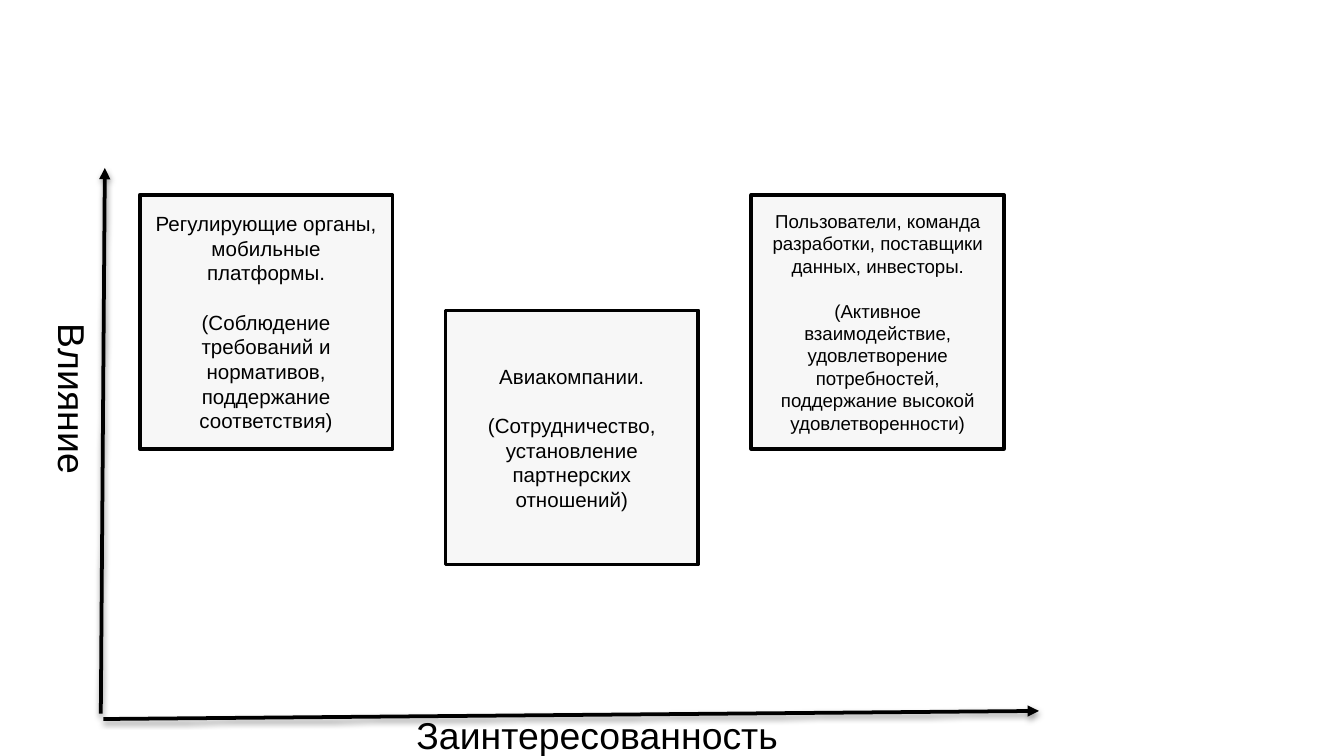
"""Build a stakeholder map of influence against interest."""
from dataclasses import dataclass

from lxml.etree import SubElement
from pptx import Presentation
from pptx.dml.color import RGBColor
from pptx.enum.shapes import MSO_CONNECTOR, MSO_SHAPE
from pptx.enum.text import MSO_ANCHOR, MSO_AUTO_SIZE, PP_ALIGN
from pptx.oxml.ns import qn
from pptx.util import Inches, Pt


@dataclass(frozen=True)
class Theme:
    """Colours, type sizes and line width of the slide."""
    ink: RGBColor = RGBColor(0, 0, 0)
    card: RGBColor = RGBColor(0xE9, 0xE9, 0xE9)
    alpha: int = 33000
    face: str = "Arial"
    label: int = 20
    body: int = 11
    small: int = 10
    rule: int = 2


THEME = Theme()
COLS, ROWS = 100, 56.25
WIDE, HIGH = Inches(10), Inches(5.625)
CARDS = [
    (0, 2, THEME.body, "Регулирующие органы, мобильные платформы.",
     "(Соблюдение требований и нормативов, поддержание соответствия)"),
    (1, 10.6, THEME.body, "Авиакомпании.",
     "(Сотрудничество, установление партнерских отношений)"),
    (2, 2, THEME.small,
     "Пользователи, команда разработки, поставщики данных, инвесторы.",
     "(Активное взаимодействие, удовлетворение потребностей, "
     "поддержание высокой удовлетворенности)"),
]


def apply(item, form):
    """Set each attribute named in a dict of format values."""
    for name, value in form.items():
        setattr(item, name, value)


def spot(box, col, row):
    """Turn a grid point within a box into slide lengths."""
    return (int((box[0] + col) * WIDE / COLS),
            int((box[1] + row) * HIGH / ROWS))


def node(parent, tag, **attrs):
    """Add a drawing element with its attributes."""
    return SubElement(parent, qn(f"a:{tag}"), attrs)


def write(frame, texts, size, align):
    """Fill a text frame, with one line of space between paragraphs."""
    for i, text in enumerate(texts):
        para = frame.paragraphs[0] if i == 0 else frame.add_paragraph()
        para.alignment = align
        if i:
            para.space_before = Pt(size * 1.2)
        run = para.add_run()
        run.text = text
        apply(run.font, {"name": THEME.face, "size": Pt(size)})
        run.font.color.rgb = THEME.ink


def stroke(line):
    """Give a line its colour and width."""
    line.fill.solid()
    line.fill.fore_color.rgb = THEME.ink
    line.width = Pt(THEME.rule)


def axis(slide, box, start, end):
    """Draw an arrow with a soft shadow."""
    link = slide.shapes.add_connector(
        MSO_CONNECTOR.STRAIGHT, *spot(box, *start), *spot(box, *end))
    stroke(link.line)
    props = link._element.spPr
    node(props.find(qn("a:ln")), "tailEnd", type="triangle")
    shade = node(node(props, "effectLst"), "outerShdw", blurRad="40000",
                 dist="20000", dir="5400000", rotWithShape="0")
    node(node(shade, "srgbClr", val=str(THEME.ink)), "alpha", val="38000")


def label(slide, box, text, turn=0):
    """Place an axis label in its box."""
    shape = slide.shapes.add_textbox(*spot(box, 0, 0),
                                     *spot((0, 0), *box[2:]))
    shape.rotation = turn
    apply(shape.text_frame, {"word_wrap": True,
                             "auto_size": MSO_AUTO_SIZE.SHAPE_TO_FIT_TEXT})
    write(shape.text_frame, [text], THEME.label, PP_ALIGN.LEFT)


def card(slide, box, texts, size):
    """Place a pale framed card with centred text."""
    shape = slide.shapes.add_shape(MSO_SHAPE.RECTANGLE, *spot(box, 0, 0),
                                   *spot((0, 0), *box[2:]))
    shape.shadow.inherit = False
    shape.fill.solid()
    shape.fill.fore_color.rgb = THEME.card
    tint = shape._element.spPr.find(qn("a:solidFill"))[0]
    node(tint, "alpha", val=str(THEME.alpha))
    stroke(shape.line)
    node(shape._element.spPr.find(qn("a:ln")), "round")
    apply(shape.text_frame, {"word_wrap": True,
                             "vertical_anchor": MSO_ANCHOR.MIDDLE})
    write(shape.text_frame, texts, size, PP_ALIGN.CENTER)


def chart(slide, box):
    """Lay out the axes, labels and cards within a box."""
    left, top, wide, high = box
    axis(slide, box, (0, high - 0.4), (0.3, 0))
    axis(slide, box, (0.2, high), (wide, high - 0.6))
    label(slide, (left - 10.6, top + 16.9, 17, 4.4), "Влияние", 90)
    label(slide, (left + 22.5, top + high - 1, 32.2, 4.4),
          "Заинтересованность")
    for col, row, size, *texts in CARDS:
        card(slide, (left + 2.9 + col * 22.75, top + row, 18.8, 18.9),
             texts, size)


def main():
    """Build and save the slide."""
    deck = Presentation()
    apply(deck, {"slide_width": WIDE, "slide_height": HIGH})
    slide = deck.slides.add_slide(deck.slide_layouts[6])
    chart(slide, (7.5, 12.5, 69.8, 41))
    deck.save("out.pptx")


if __name__ == "__main__":
    main()
